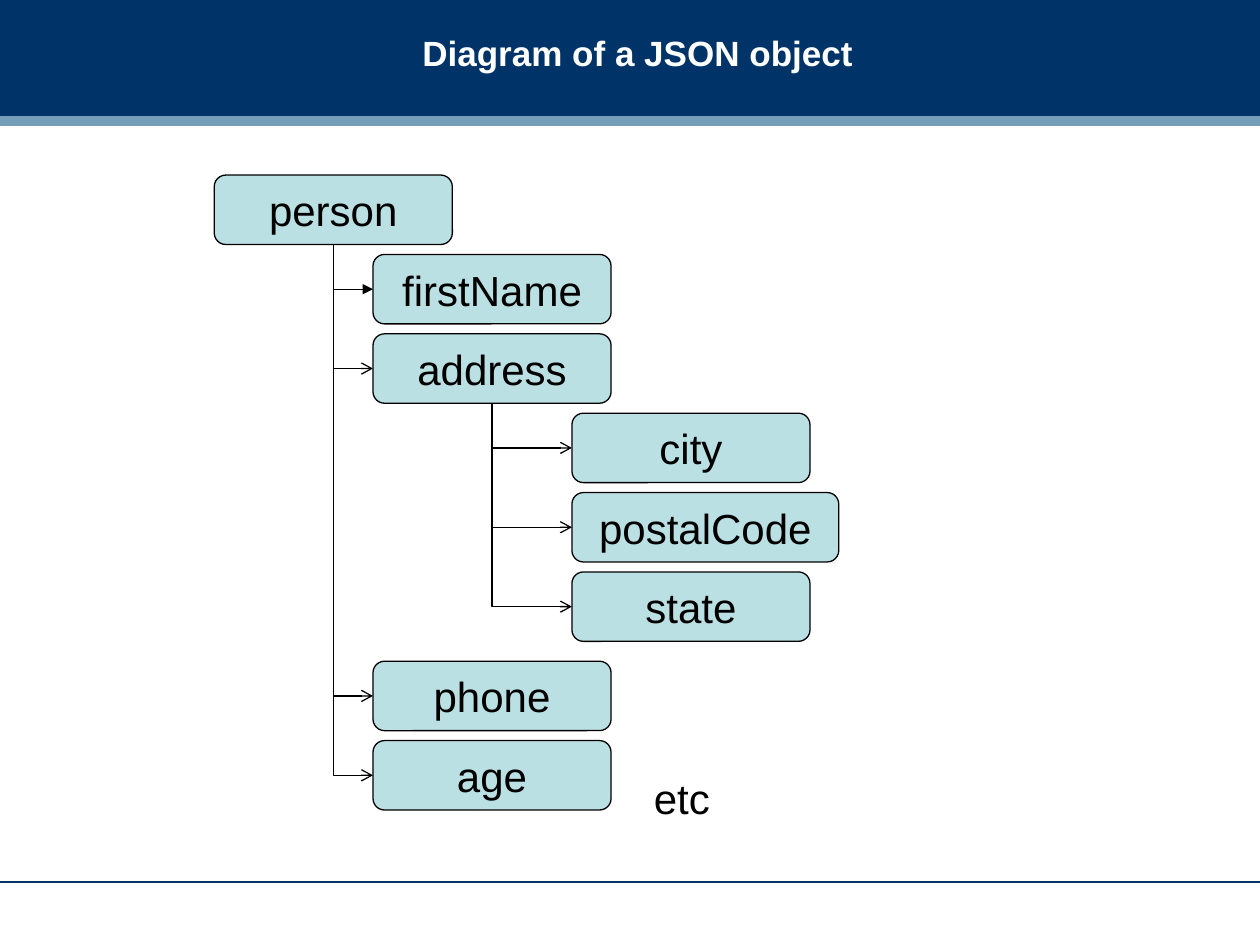
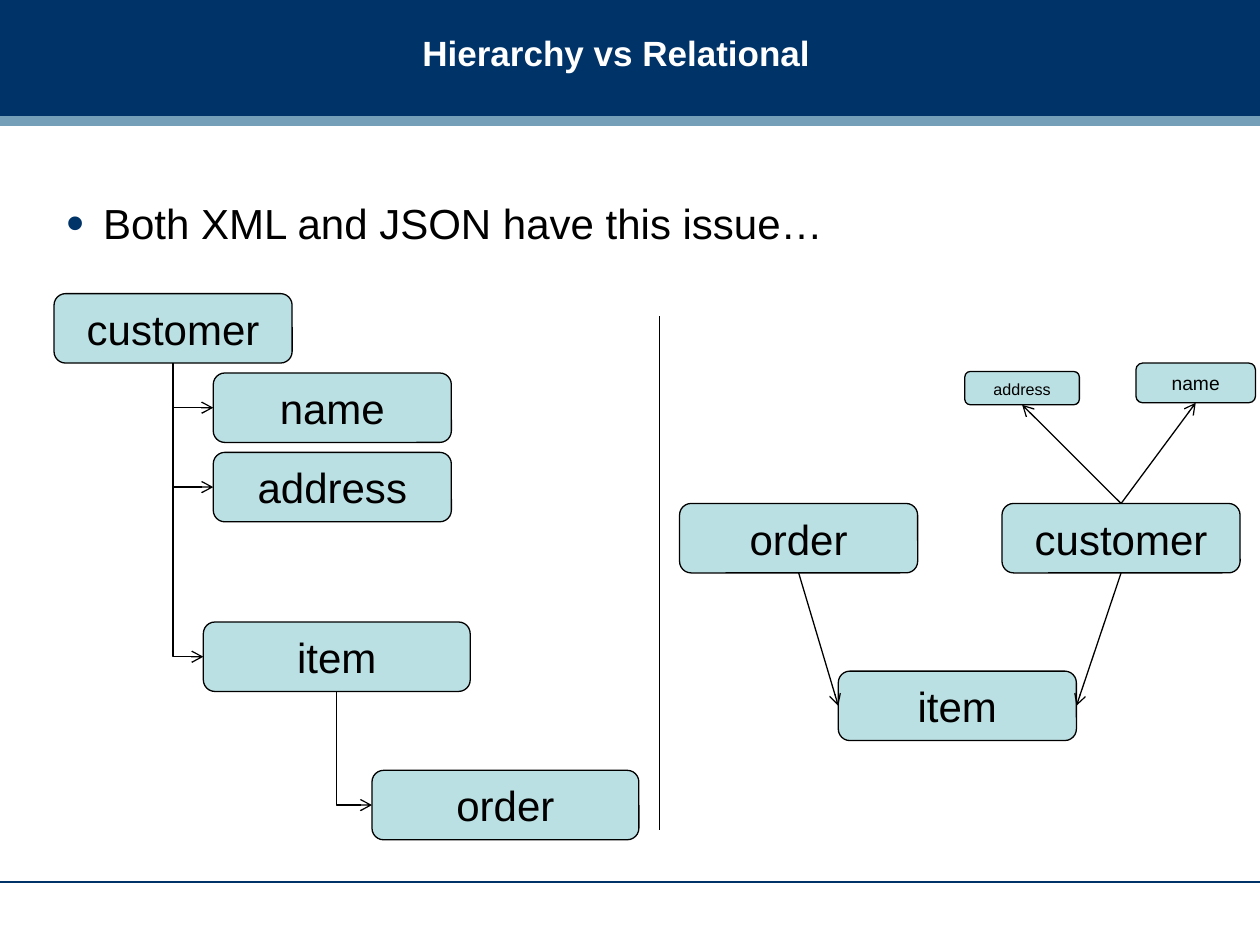
from lxml import etree
from pptx import Presentation
from pptx import util as u
from pptx.dml import color
from pptx.enum import shapes, text
from pptx.oxml import ns

NAVY, STEEL, AQUA, BLACK, WHITE = "003368", "759FB8", "BBE0E3", "000000", "FFFFFF"
SLIDE_W, SLIDE_H = 25.4, 19.05
NODE_W, WIDE_NODE_W, NODE_H, ROW_STEP = 4.8, 5.38, 1.4, 1.6
TITLE_FONT = {"name": "Arial", "size": u.Pt(20), "bold": True}
BODY_FONT = {"name": "Arial", "size": u.Pt(24), "bold": False}
TITLE_BOX = {"left": u.Cm(8.26), "top": u.Cm(0), "width": u.Cm(16.71), "height": u.Cm(2.11)}


def rgb(value):
    return color.RGBColor.from_string(value)


def apply(target, values):
    for key, value in values.items():
        setattr(target, key, value)


def write(frame, words, font, ink, align=text.PP_ALIGN.LEFT):
    paragraph = frame.paragraphs[0]
    paragraph.alignment = align
    run = paragraph.add_run()
    run.text = words
    apply(run.font, font)
    run.font.color.rgb = rgb(ink)
    return paragraph


def add_child(parent, tag, **attributes):
    return etree.SubElement(parent, ns.qn(tag), attributes)


def add_block(slide, kind, left, top, width, height, fill):
    block = slide.shapes.add_shape(kind, u.Cm(left), u.Cm(top), u.Cm(width), u.Cm(height))
    block.shadow.inherit = False
    block.fill.solid()
    block.fill.fore_color.rgb = rgb(fill)
    return block


def add_band(slide, top, height, fill):
    band = add_block(slide, shapes.MSO_SHAPE.RECTANGLE, 0, top, SLIDE_W, height, fill)
    band.line.fill.background()
    return band


def add_node(slide, label, left, top, width=NODE_W, height=NODE_H, size=24):
    node = add_block(slide, shapes.MSO_SHAPE.ROUNDED_RECTANGLE, left, top, width, height, AQUA)
    node.line.color.rgb = rgb(BLACK)
    node.line.width = u.Pt(0.75)
    node.text_frame.vertical_anchor = text.MSO_ANCHOR.TOP
    write(node.text_frame, label, {**BODY_FONT, "size": u.Pt(size)}, BLACK, text.PP_ALIGN.CENTER)
    return node


def add_line(slide, x1, y1, x2, y2, ink=BLACK, tip=None):
    line = slide.shapes.add_connector(shapes.MSO_CONNECTOR.STRAIGHT, x1, y1, x2, y2)
    line.line.color.rgb = rgb(ink)
    line.line.width = u.Pt(0.75)
    if tip:
        add_child(line.line._get_or_add_ln(), "a:tailEnd", type=tip)
    add_child(line._element.spPr, "a:effectLst")
    return line


def add_arrow(slide, source, source_side, target, target_side):
    arrow = add_line(slide, 0, 0, 0, 0, tip="arrow")
    arrow.begin_connect(source, source_side)
    arrow.end_connect(target, target_side)


def add_branch(slide, parent, child, tip="arrow"):
    x = parent.left + parent.width // 2
    y = parent.top + parent.height
    across = child.left - x
    down = child.top + child.height // 2 - y
    branch = add_line(slide, x, y, child.left, y + down, tip=tip)
    apply(branch, {"left": x + (across - down) // 2, "top": y + (down - across) // 2,
                   "width": down, "height": across})
    properties = branch._element.spPr
    properties.find(ns.qn("a:prstGeom")).set("prst", "bentConnector2")
    frame = properties.find(ns.qn("a:xfrm"))
    frame.set("rot", "16200000")
    frame.set("flipH", "1")


def add_text(slide, words, left, top, width, height, wrap=True):
    box = slide.shapes.add_textbox(u.Cm(left), u.Cm(top), u.Cm(width), u.Cm(height))
    box.text_frame.word_wrap = wrap
    return write(box.text_frame, words, BODY_FONT, BLACK)


def add_bullet(paragraph):
    paragraph.space_before = u.Pt(7.5)
    properties = paragraph._p.get_or_add_pPr()
    properties.set("marL", str(u.Cm(0.74)))
    properties.set("indent", str(-u.Cm(0.74)))
    add_child(add_child(properties, "a:buClr"), "a:srgbClr", val=NAVY)
    add_child(properties, "a:buSzPct", val="120000")
    add_child(properties, "a:buFont", typeface="Arial")
    add_child(properties, "a:buChar", char="•")


def add_titled_slide(deck, title):
    slide = deck.slides.add_slide(deck.slide_layouts[5])
    heading = slide.shapes.title
    apply(heading, TITLE_BOX)
    heading.text_frame.vertical_anchor = text.MSO_ANCHOR.MIDDLE
    write(heading.text_frame, title, TITLE_FONT, WHITE)
    return slide


def furnish_layout(slide):
    header = add_band(slide, 0, 2.34, NAVY)
    stripe = add_band(slide, 2.34, 0.2, STEEL)
    footer_y = u.Cm(17.78)
    footer = add_line(slide, 0, footer_y, u.Cm(SLIDE_W), footer_y, NAVY)
    for part in (footer, stripe, header):
        slide.slide_layout.shapes._spTree.insert(2, part._element)


def draw_json_object(slide):
    top, child_x, grandchild_x = 3.53, 7.52, 11.53
    person = add_node(slide, "person", 4.32, top)
    fields = {}
    for label, row, gap in (("firstName", 1, 0), ("address", 2, 0), ("phone", 6, 0.2), ("age", 7, 0.2)):
        fields[label] = add_node(slide, label, child_x, top + row * ROW_STEP + gap)
        add_branch(slide, person, fields[label], "triangle" if label == "firstName" else "arrow")
    for row, label in enumerate(("city", "postalCode", "state"), 3):
        width = WIDE_NODE_W if label == "postalCode" else NODE_W
        part = add_node(slide, label, grandchild_x, top + row * ROW_STEP, width)
        add_branch(slide, fields["address"], part)
    add_text(slide, "etc", 12.93, 15.44, 1.63, 1.27, wrap=False)


def draw_hierarchy(slide):
    top = 5.92
    customer = add_node(slide, "customer", 1.09, top)
    name = add_node(slide, "name", 4.3, top + ROW_STEP)
    address = add_node(slide, "address", 4.3, top + 2 * ROW_STEP)
    item = add_node(slide, "item", 4.1, 12.54, WIDE_NODE_W)
    order = add_node(slide, "order", 7.5, 15.53, WIDE_NODE_W)
    for child in (name, address, item):
        add_branch(slide, customer, child)
    add_branch(slide, item, order)


def draw_relations(slide):
    order = add_node(slide, "order", 13.7, 10.15)
    customer = add_node(slide, "customer", 20.2, 10.15)
    item = add_node(slide, "item", 16.9, 13.53)
    name = add_node(slide, "name", 22.9, 7.32, 2.41, 0.8, 11)
    address = add_node(slide, "address", 19.45, 7.49, 2.31, 0.67, 9.2)
    add_arrow(slide, customer, 2, item, 3)
    add_arrow(slide, order, 2, item, 1)
    for field in (address, name):
        add_arrow(slide, customer, 0, field, 2)


def main():
    deck = Presentation()
    apply(deck, {"slide_width": u.Cm(SLIDE_W), "slide_height": u.Cm(SLIDE_H)})

    json_slide = add_titled_slide(deck, "Diagram of a JSON object")
    furnish_layout(json_slide)
    draw_json_object(json_slide)

    models_slide = add_titled_slide(deck, "Hierarchy vs Relational")
    add_bullet(add_text(models_slide, "Both XML and JSON have this issue…", 1.09, 3.86, 22.86, 12.57))
    draw_hierarchy(models_slide)
    draw_relations(models_slide)
    divider_x = u.Cm(13.3)
    add_line(models_slide, divider_x, u.Cm(6.38), divider_x, u.Cm(16.73))

    deck.save("out.pptx")


if __name__ == "__main__":
    main()
